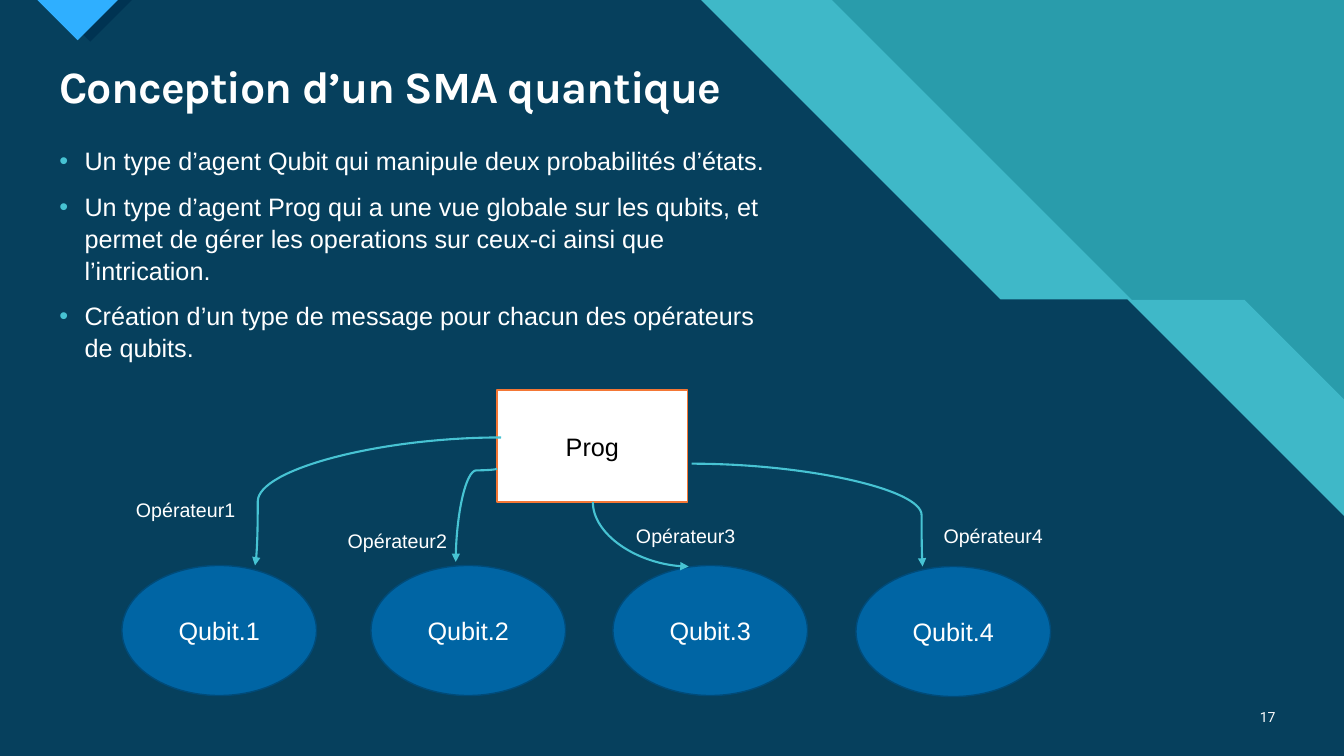
from pptx import Presentation
from pptx.dml.color import RGBColor
from pptx.enum.shapes import MSO_CONNECTOR, MSO_SHAPE
from pptx.enum.text import MSO_ANCHOR, MSO_AUTO_SIZE, PP_ALIGN
from pptx.oxml.ns import qn
from pptx.util import Inches, Pt
from lxml import etree

OVAL, RECT = MSO_SHAPE.OVAL, MSO_SHAPE.RECTANGLE
CURVE = MSO_CONNECTOR.CURVE
TOP, MID = MSO_ANCHOR.TOP, MSO_ANCHOR.MIDDLE
LEFT, MIDST, RIGHT = PP_ALIGN.LEFT, PP_ALIGN.CENTER, PP_ALIGN.RIGHT
FIXED = MSO_AUTO_SIZE.NONE

WHITE, BLACK, NAVY = "FFFFFF", "000000", "003352"
TEAL, AQUA, SKY = "299CAB", "47C3D3", "2FAFFF"


def hue(code):
    return RGBColor.from_string(code)


def put(item, values):
    for name, value in values.items():
        setattr(item, name, value)


def sub(node, tag, **values):
    return etree.SubElement(node, qn(tag), values)


class Deck:
    """Draws on a grid of 160 columns by 90 rows, 12 to the inch."""

    font = "Arial"

    def __init__(self):
        self.prs = Presentation()
        put(self.prs, {"slide_width": Inches(13.33),
                       "slide_height": Inches(7.5)})
        self.slide = self.prs.slides.add_slide(self.prs.slide_layouts[5])
        self.shapes = self.slide.shapes
        fill = self.slide.background.fill
        fill.solid()
        fill.fore_color.rgb = hue(TEAL)

    def unit(self, *cells):
        return [Inches(cell / 12) for cell in cells]

    def place(self, item, *box):
        put(item, dict(zip(("left", "top", "width", "height"),
                           self.unit(*box))))

    def paint(self, item, fill, line=None, alpha=None):
        item.shadow.inherit = False
        item.fill.solid()
        item.fill.fore_color.rgb = hue(fill)
        if alpha:
            solid = item._element.spPr.find(qn("a:solidFill"))
            sub(solid.find(qn("a:srgbClr")), "a:alpha", val=str(alpha * 1000))
        if line:
            item.line.color.rgb = hue(line)
            item.line.width = Pt(1)
        else:
            item.line.fill.background()

    def label(self, item, lines, size, color=WHITE, align=LEFT, anchor=TOP,
              bullet=False, para=None, **look):
        frame = item.text_frame
        put(frame, {"word_wrap": True, "auto_size": FIXED,
                    "vertical_anchor": anchor, "text": "\n".join(lines)})
        for i, part in enumerate(frame.paragraphs):
            put(part, {"alignment": align, **(para or {})})
            if bullet:
                part.space_before = Pt(6 if i else 0)
                props = part._p.get_or_add_pPr()
                inset = str(Inches(0.25))
                props.set("marL", inset)
                props.set("indent", "-" + inset)
                sub(sub(props, "a:buClr"), "a:srgbClr", val=AQUA)
                sub(props, "a:buFont", typeface="Arial")
                sub(props, "a:buChar", char="•")
            for run in part.runs:
                put(run.font, {"name": self.font, "size": Pt(size), **look})
                run.font.color.rgb = hue(color)

    def poly(self, points, fill, alpha=None):
        spots = [self.unit(*spot) for spot in points]
        draft = self.shapes.build_freeform(*spots[0])
        draft.add_line_segments(spots[1:], close=True)
        self.paint(draft.convert_to_shape(), fill, alpha=alpha)

    def title(self, text, *box):
        item = self.shapes.title
        self.place(item, *box)
        self.label(item, [text], 32, para={"line_spacing": 0.9},
                   name="Karla", bold=True)
        run = item.text_frame.paragraphs[0].runs[0]
        run._r.get_or_add_rPr().set("spc", "-70")
        # Lift the title above the backdrop
        tree = self.shapes._spTree
        tree.remove(item._element)
        tree.append(item._element)

    def text(self, lines, size, *box, **look):
        item = self.shapes.add_textbox(*self.unit(*box))
        self.label(item, lines, size, **look)

    def node(self, kind, text, fill, line, color, *box):
        item = self.shapes.add_shape(kind, *self.unit(*box))
        self.paint(item, fill, line)
        self.label(item, [text], 18, color, MIDST, MID)

    def arrow(self, start, end, bend=None, down=False):
        """Curve that leaves sideways, or downward after a quarter turn."""
        ends = [start, end]
        if down:
            cx, cy = [(a + b) / 2 for a, b in zip(start, end)]
            ends = [(cx + y - cy, cy - x + cx) for x, y in ends]
        item = self.shapes.add_connector(
            CURVE, *self.unit(*ends[0], *ends[1]))
        item.line.color.rgb = hue(AQUA)
        item.line.width = Pt(1.5)
        props = item._element.spPr
        if down:
            props.find(qn("a:xfrm")).set("rot", str(90 * 60000))
        shape = props.find(qn("a:prstGeom"))
        if bend is None:
            shape.set("prst", "curvedConnector2")
        else:
            guides = shape.find(qn("a:avLst"))
            if guides is None:
                guides = sub(shape, "a:avLst")
            sub(guides, "a:gd", name="adj1", fmla=f"val {bend * 1000:.0f}")
        sub(props.find(qn("a:ln")), "a:tailEnd", type="triangle")
        sub(props, "a:effectLst")


def main():
    deck = Deck()

    # Backdrop bands and corner mark
    base = [(160, 90), (0, 90)]
    deck.poly([(0, 0), (99, 0), (134.7, 35.7), (148.1, 35.7), (160, 47.6)]
              + base, AQUA, 74)
    deck.poly([(0, 0), (83.4, 0), (119.05, 35.65), (134.15, 35.65),
               (160, 61.5)] + base, NAVY, 90)
    deck.poly([(5.76, 0), (15.7, 0), (10.75, 4.95)], NAVY)
    deck.poly([(4.44, 0), (14.04, 0), (9.24, 4.8)], SKY)

    # Title, page number and points
    deck.title("Conception d’un SMA quantique", 5.88, 7.08, 147.1, 7.08)
    deck.text(["17"], 10, 147.7, 82.9, 5.3, 4.8,
              align=RIGHT, anchor=MID, name="Roboto")
    deck.text([
        "Un type d’agent Qubit qui manipule deux probabilités d’états.",
        "Un type d’agent Prog qui a une vue globale sur les qubits, et "
        "permet de gérer les operations sur ceux-ci ainsi que l’intrication.",
        "Création d’un type de message pour chacun des opérateurs de qubits.",
    ], 18, 5.88, 16.56, 88.2, 58.4, bullet=True,
        para={"space_after": Pt(4), "line_spacing": 1.05})

    # Agents
    spots = [(14.52, 67.32), (44.16, 67.32), (72.96, 67.32), (101.88, 67.44)]
    for i, spot in enumerate(spots, 1):
        deck.node(OVAL, f"Qubit.{i}", "0065A4", "004B79", WHITE,
                  *spot, 23.16, 15.48)
    deck.node(RECT, "Prog", WHITE, "F47735", BLACK,
              59.16, 46.44, 22.68, 13.32)

    # Messages from Prog to each qubit
    deck.arrow((59.64, 52.08), (30.36, 67.32), 98.9)
    deck.arrow((59.16, 55.8), (54.24, 66.9), 1.8, down=True)
    deck.arrow((70.56, 59.76), (81.96, 67.44), down=True)
    deck.arrow((82.32, 55.2), (109.8, 67.44), 99.6)
    tags = [(15, 58.68), (40.2, 62.4), (74.52, 61.8), (111.12, 61.8)]
    for i, spot in enumerate(tags, 1):
        deck.text([f"Opérateur{i}"], 14, *spot, 14.76, 4.08)

    deck.prs.save("out.pptx")


if __name__ == "__main__":
    main()
